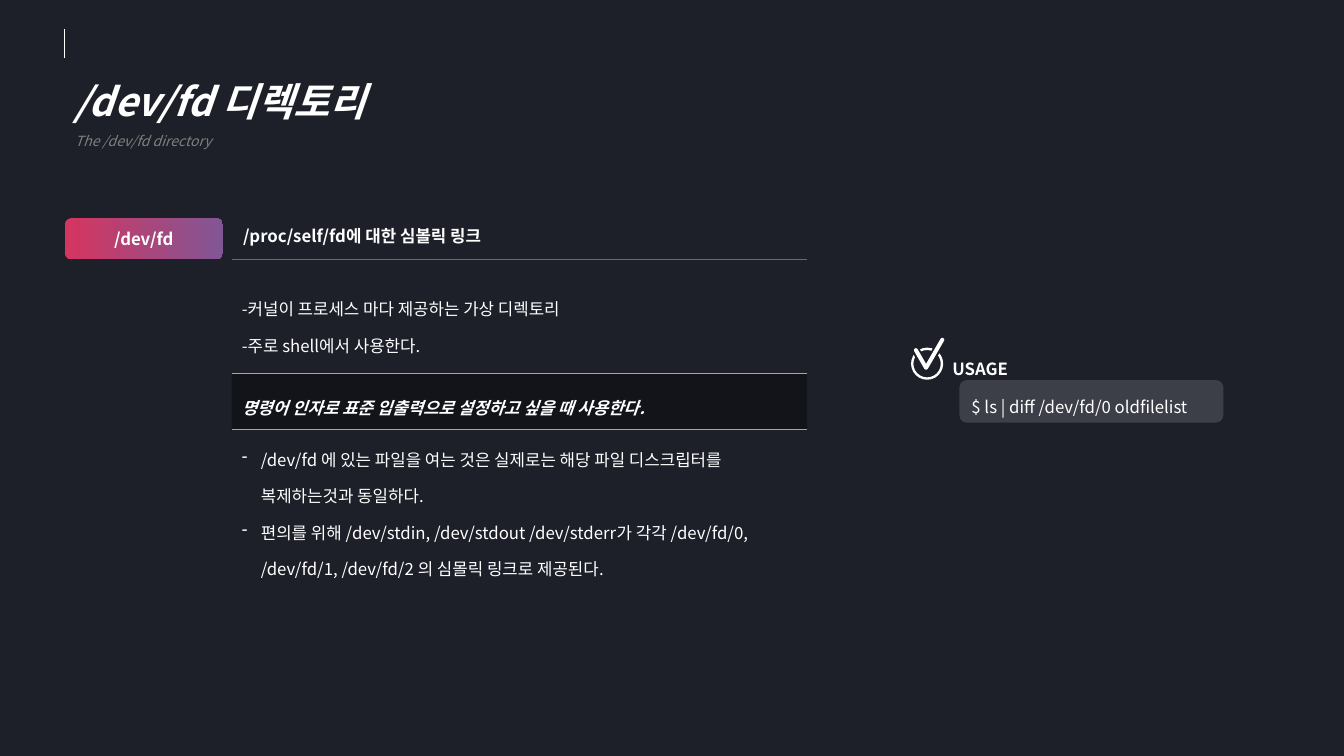
from dataclasses import dataclass

from lxml.etree import SubElement
from pptx import Presentation
from pptx.dml.color import RGBColor
from pptx.enum.shapes import MSO_CONNECTOR, MSO_SHAPE
from pptx.enum.text import MSO_ANCHOR, MSO_AUTO_SIZE, PP_ALIGN
from pptx.oxml import parse_xml
from pptx.oxml.ns import nsdecls, qn
from pptx.util import Cm, Pt


@dataclass(frozen=True)
class Theme:
    font: str = "Noto Sans CJK KR"
    title: int = 28
    subtitle: int = 10
    body: int = 12
    background: str = "1D2029"
    text: str = "FFFFFF"
    muted: str = "808080"
    red: str = "D5355F"
    purple: str = "815695"
    border: str = "A6A6A6"
    band: str = "000000"


THEME = Theme()
SPACING = 1.5
NO_GRID_STYLE = "{2D5ABB26-0587-4C30-8999-92F81FD0307C}"


def rgb(color):
    return RGBColor.from_string(color)


def write(frame, lines, size=THEME.body, color=THEME.text, bold=False,
          italic=False, spacing=SPACING, align=PP_ALIGN.LEFT, dashed=False):
    """Fill a text frame with equally formatted paragraphs."""
    frame.word_wrap = True
    for index, line in enumerate(lines):
        paragraph = frame.paragraphs[0] if index == 0 else frame.add_paragraph()
        paragraph.text = line
        if dashed:
            properties = paragraph._p.get_or_add_pPr()
            properties.set("marL", str(Cm(0.48)))
            properties.set("indent", str(-Cm(0.48)))
            SubElement(properties, qn("a:buChar"), char="-")
        style(paragraph, size, color, bold, italic, spacing, align)


def style(paragraph, size, color, bold, italic, spacing, align):
    paragraph.alignment = align
    paragraph.line_spacing = spacing
    font = paragraph.font
    font.name, font.size = THEME.font, Pt(size)
    font.bold, font.italic = bold, italic
    font.color.rgb = rgb(color)
    defaults = paragraph._p.pPr.find(qn("a:defRPr"))
    SubElement(defaults, qn("a:ea"), typeface=THEME.font)


def set_alpha(fill, percent):
    """Make a solid fill partly transparent."""
    color = fill._xPr.find(qn("a:solidFill"))[0]
    SubElement(color, qn("a:alpha"), val=str(percent * 1000))


def add_rule(slide, x1, y1, x2, y2, color):
    rule = slide.shapes.add_connector(
        MSO_CONNECTOR.STRAIGHT, Cm(x1), Cm(y1), Cm(x2), Cm(y2))
    rule.line.color.rgb = rgb(color)
    rule.line.width = Pt(0.5)
    SubElement(rule._element.spPr, qn("a:effectLst"))


def add_panel(slide, kind, x, y, w, h, color=None, adjust=None, turn=0):
    panel = slide.shapes.add_shape(kind, Cm(x), Cm(y), Cm(w), Cm(h))
    panel.shadow.inherit = False
    panel.line.fill.background()
    panel.rotation = turn
    if adjust is not None:
        panel.adjustments[0] = adjust
    if color:
        panel.fill.solid()
        panel.fill.fore_color.rgb = rgb(color)
    else:
        panel.fill.background()
    panel.text_frame.vertical_anchor = MSO_ANCHOR.MIDDLE
    return panel


def add_header(slide, x, y, w, h):
    add_rule(slide, x, y - 0.48, x, y + 0.23, THEME.text)
    title = slide.shapes.title
    title.left, title.top, title.width, title.height = Cm(x), Cm(y), Cm(w), Cm(h)
    frame = title.text_frame
    frame.auto_size = MSO_AUTO_SIZE.NONE
    frame.vertical_anchor = MSO_ANCHOR.TOP
    write(frame, ["/dev/fd 디렉토리"], THEME.title, bold=True, italic=True)
    subtitle = frame.add_paragraph()
    subtitle.text = "The /dev/fd directory"
    style(subtitle, THEME.subtitle, THEME.muted, False, True, SPACING, PP_ALIGN.LEFT)


def add_topic(slide, x, y, w, h):
    """Place the gradient badge, its heading and the rule under the heading."""
    badge = add_panel(slide, MSO_SHAPE.ROUNDED_RECTANGLE, x, y, 3.99, h)
    badge.fill.gradient()
    badge.fill.gradient_angle = 0
    for stop, color in zip(badge.fill.gradient_stops, (THEME.red, THEME.purple)):
        stop.color.rgb = rgb(color)
    write(badge.text_frame, ["/dev/fd"], bold=True, spacing=1, align=PP_ALIGN.CENTER)
    left = x + 4.21
    heading = add_panel(slide, MSO_SHAPE.ROUNDED_RECTANGLE, left, y, 11.99, 0.89,
                        adjust=0.137)
    write(heading.text_frame, ["/proc/self/fd에 대한 심볼릭 링크"], bold=True, spacing=1)
    add_rule(slide, left, y + h, x + w, y + h, THEME.purple)


def set_borders(cell, sides):
    for side in sides:
        cell._tc.get_or_add_tcPr().append(parse_xml(
            f'<a:{side} {nsdecls("a")} w="3175"><a:solidFill>'
            f'<a:srgbClr val="{THEME.border}"/></a:solidFill></a:{side}>'))


def add_details(slide, x, y, w, row_heights):
    table = slide.shapes.add_table(
        len(row_heights), 1, Cm(x), Cm(y), Cm(w), Cm(sum(row_heights))).table
    table.first_row = table.horz_banding = False
    table._tbl.tblPr.find(qn("a:tableStyleId")).text = NO_GRID_STYLE
    rows = [
        (["-커널이 프로세스 마다 제공하는 가상 디렉토리",
          "-주로 shell에서 사용한다."], {}, ["lnB"]),
        (["명령어 인자로 표준 입출력으로 설정하고 싶을 때 사용한다."],
         {"bold": True, "italic": True}, ["lnT", "lnB"]),
        (["/dev/fd 에 있는 파일을 여는 것은 실제로는 해당 파일 디스크립터를 "
          "복제하는것과 동일하다.",
          "편의를 위해 /dev/stdin, /dev/stdout /dev/stderr가 각각 /dev/fd/0, "
          "/dev/fd/1, /dev/fd/2 의 심몰릭 링크로 제공된다."],
         {"dashed": True}, ["lnT"]),
    ]
    for index, (lines, look, borders) in enumerate(rows):
        table.rows[index].height = Cm(row_heights[index])
        cell = table.cell(index, 0)
        cell.vertical_anchor = MSO_ANCHOR.MIDDLE
        write(cell.text_frame, lines, **look)
        set_borders(cell, borders)
        cell.fill.background()
    band = table.cell(1, 0).fill
    band.solid()
    band.fore_color.rgb = rgb(THEME.band)
    set_alpha(band, 35)


def add_check_mark(slide, x, y, size):
    """Draw a ring that two tilted strokes cut through."""
    add_panel(slide, MSO_SHAPE.DONUT, x, y, size, size, THEME.text, 0.074)
    strokes = [
        (-0.02, -0.56, 0.2, 1.12, 330, THEME.background),
        (0.56, -0.53, 0.2, 1.12, 30, THEME.background),
        (0.54, -0.3, 0.1, 0.89, 30, THEME.text),
        (0.2, -0.02, 0.1, 0.61, 330, THEME.text),
    ]
    for dx, dy, w, h, turn, color in strokes:
        add_panel(slide, MSO_SHAPE.ROUNDED_RECTANGLE, x + dx, y + dy, w, h,
                  color, 0.5, turn)


def add_usage(slide, x, y, w, h):
    label = slide.shapes.add_textbox(Cm(x + 0.79), Cm(y - 0.1), Cm(10.11), Cm(0.91))
    write(label.text_frame, ["USAGE"], bold=True)
    add_check_mark(slide, x, y, 0.81)
    command = add_panel(slide, MSO_SHAPE.ROUNDED_RECTANGLE,
                        x + 1.22, y + 0.82, w - 1.22, h - 0.82, THEME.text)
    set_alpha(command.fill, 14)
    write(command.text_frame, ["$ ls | diff /dev/fd/0 oldfilelist"])


def main():
    deck = Presentation()
    deck.slide_width, deck.slide_height = Cm(33.87), Cm(19.05)
    slide = deck.slides.add_slide(deck.slide_layouts.get_by_name("Title Only"))
    slide.background.fill.solid()
    slide.background.fill.fore_color.rgb = rgb(THEME.background)
    add_header(slide, 1.63, 1.22, 26.26, 2.69)
    add_topic(slide, 1.63, 5.5, 18.71, 1.04)
    add_details(slide, 5.84, 6.76, 14.5, [2.64, 1.42, 3.71])
    add_usage(slide, 22.96, 8.76, 7.87, 1.89)
    deck.save("out.pptx")


if __name__ == "__main__":
    main()
